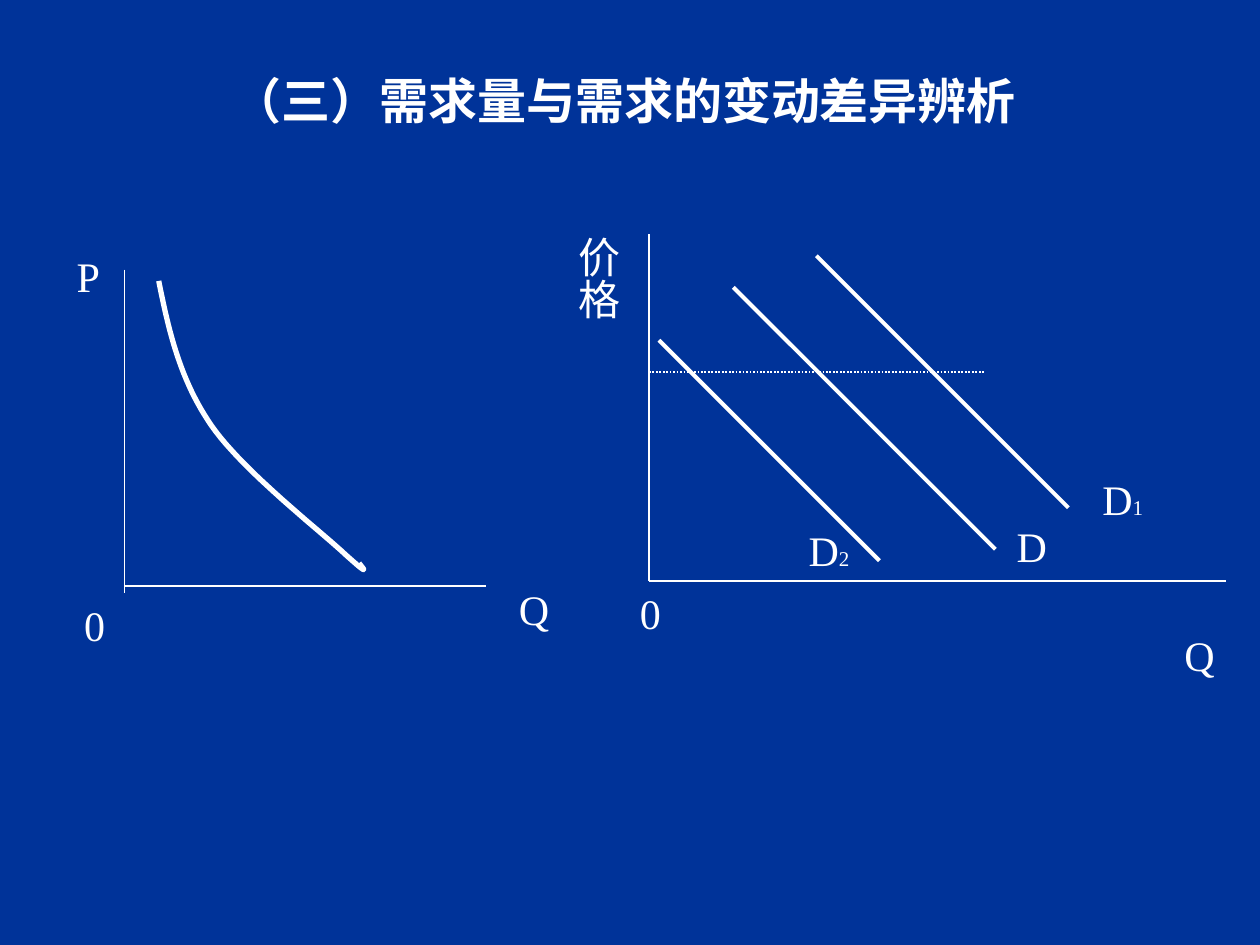
from lxml import etree
from pptx import Presentation
from pptx import util as u
from pptx.dml.color import RGBColor
from pptx.enum import dml, text
from pptx.oxml.ns import qn

COLORS = {"background": "003399", "ink": "FFFFFF"}
FONTS = {"title": "Noto Sans CJK SC", "label": "Times New Roman"}
CELLS_PER_INCH = 10


def color(name):
    """Return a named colour."""
    return RGBColor.from_string(COLORS[name])


def cells(count):
    """Return the length of a number of grid cells."""
    return u.Inches(count / CELLS_PER_INCH)


def place(origin, point):
    """Return the slide position of a grid point counted from an origin."""
    return [cells(start + offset) for start, offset in zip(origin, point)]


def style_font(font, face, size, bold=False):
    """Give a font its face, size, weight and the ink colour."""
    font.name, font.size, font.bold = face, u.Pt(size), bold
    font.color.rgb = color("ink")


def draw_line(region, origin, start, end, width, dash=None):
    """Draw a straight line between two grid points."""
    line = region.shapes.add_connector(1, *place(origin, start), *place(origin, end))
    line.line.color.rgb = color("ink")
    line.line.width = u.Pt(width)
    if dash:
        line.line.dash_style = dash
    etree.SubElement(line._element.spPr, qn("a:effectLst"))


def add_label(region, origin, box, letter, index="", inset=1, upright=False):
    """Write a letter with an optional small index in a grid box."""
    frame = region.shapes.add_textbox(
        *place(origin, box[:2]), *map(cells, box[2:])).text_frame
    frame.word_wrap = not upright
    frame.margin_left = cells(inset)
    frame.margin_right = cells(min(inset, 1))
    if upright:
        frame._txBody.bodyPr.set("vert", "eaVert")
    line = frame.paragraphs[0]
    line.add_run().text = letter
    style_font(line.font, FONTS["label"], 24)
    if index:
        small = line.add_run()
        small.text = index
        small.font.size = u.Pt(12)


def bezier(knots, steps=24):
    """Return points along a chain of cubic curves."""
    points = [knots[0]]
    for first in range(0, len(knots) - 1, 3):
        for step in range(1, steps + 1):
            t = step / steps
            weights = ((1 - t) ** 3, 3 * t * (1 - t) ** 2, 3 * t * t * (1 - t), t ** 3)
            points.append(tuple(
                sum(w * knot[axis] for w, knot in zip(weights, knots[first:first + 4]))
                for axis in (0, 1)))
    return points


def add_title(slide, left, top, width, height):
    """Place and format the slide title."""
    title = slide.shapes.title
    title.left, title.top, title.width, title.height = map(cells, (left, top, width, height))
    title.text_frame.text = "（三）需求量与需求的变动差异辨析"
    title.text_frame.vertical_anchor = text.MSO_ANCHOR.MIDDLE
    heading = title.text_frame.paragraphs[0]
    heading.alignment = text.PP_ALIGN.CENTER
    style_font(heading.font, FONTS["title"], 28, bold=True)
    east_asian = etree.SubElement(heading.font._element, qn("a:ea"))
    east_asian.set("typeface", FONTS["title"])


def add_quantity_diagram(slide, origin):
    """Draw the movement along one demand curve."""
    region = slide.shapes.add_group_shape()
    knots = [(2.7, 0.9), (3.5, 4.9), (4.4, 8.8), (6.9, 12.4), (9.4, 16),
             (15.6, 20.8), (17.5, 22.6), (19.5, 24.4), (19, 23.8), (18.6, 23.3)]
    start, *rest = [place(origin, point) for point in bezier(knots)]
    builder = region.shapes.build_freeform(*start)
    builder.add_line_segments(rest, close=False)
    curve = builder.convert_to_shape()
    curve.shadow.inherit = False
    curve.fill.background()
    curve.line.color.rgb = color("ink")
    curve.line.width = u.Pt(3)
    draw_line(region, origin, (0, 0), (0, 25.7), 0.75)
    draw_line(region, origin, (0, 25.1), (28.7, 25.1), 0.75)
    add_label(region, origin, (-4.8, -2, 3.2, 5), "P")
    add_label(region, origin, (30.3, 24.4, 7.4, 5), "Q")
    add_label(region, origin, (-4.2, 25.7, 3.2, 5), "0")


def add_demand_diagram(slide, origin):
    """Draw the shifts of the demand line at one price."""
    region = slide.shapes.add_group_shape()
    draw_line(region, origin, (0, 0), (0, 27.5), 1)
    draw_line(region, origin, (0, 27.5), (45.8, 27.5), 1)
    draw_line(region, origin, (0, 10.9), (26.7, 10.9), 1, dml.MSO_LINE.ROUND_DOT)
    demands = [
        ("", (6.7, 4.2), 20.8, (28.2, 22.2)),
        ("1", (13.3, 1.7), 20, (35, 18.5)),
        ("2", (0.8, 8.4), 17.5, (11.7, 22.5)),
    ]
    for index, (x, y), drop, corner in demands:
        draw_line(region, origin, (x, y), (x + drop, y + drop), 2.25)
        add_label(region, origin, (*corner, 6, 5), "D", index)
    add_label(region, origin, (-7.5, -0.8, 6, 7.7), "价格", inset=0.5, upright=True)
    add_label(region, origin, (36.5, 30.9, 12, 5), "Q", inset=6)
    add_label(region, origin, (-1.7, 27.5, 3.8, 5), "0")


def main():
    """Build the slide and save it."""
    deck = Presentation()
    deck.slide_width, deck.slide_height = cells(100), cells(75)
    slide = deck.slides.add_slide(deck.slide_layouts[5])
    slide.background.fill.solid()
    slide.background.fill.fore_color.rgb = color("background")
    add_title(slide, 5.8, 3.8, 87.5, 8.3)
    add_demand_diagram(slide, (51.5, 18.6))
    add_quantity_diagram(slide, (9.9, 21.4))
    deck.save("out.pptx")


if __name__ == "__main__":
    main()
